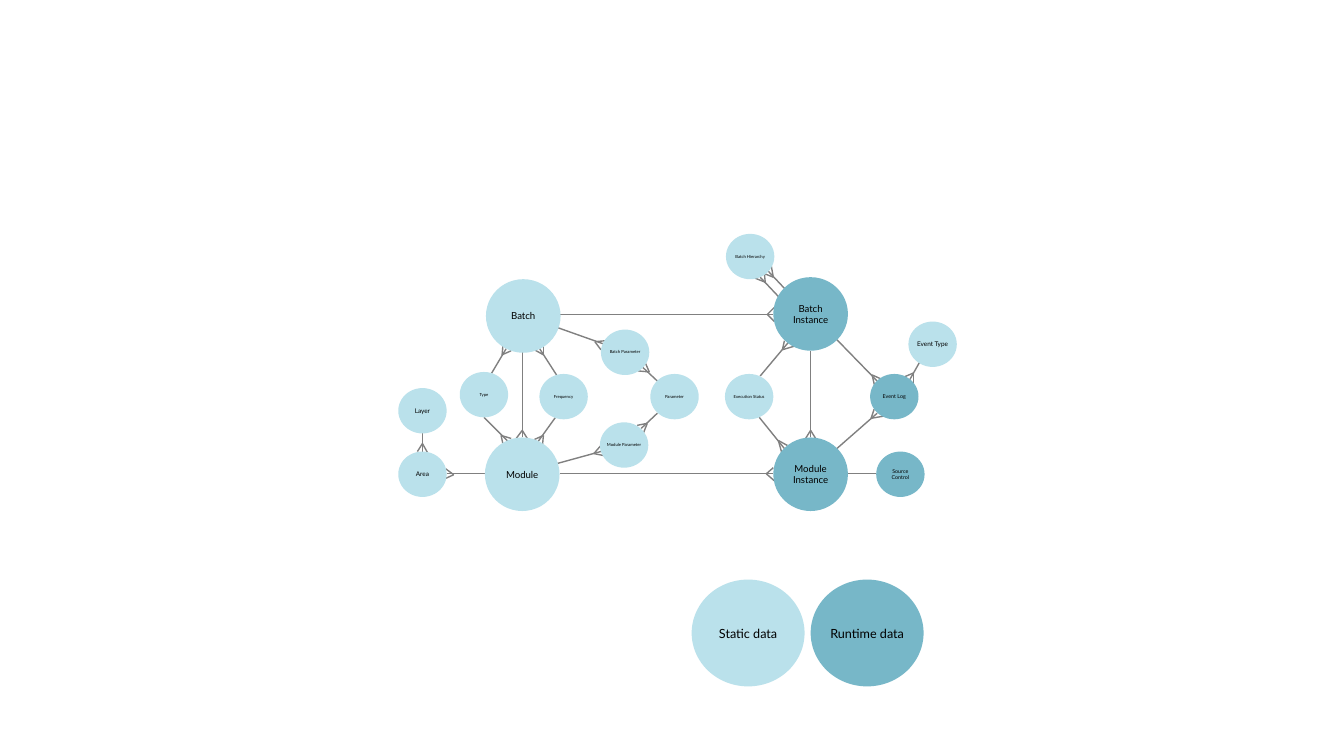
from pptx import Presentation
from pptx.dml.color import RGBColor
from pptx.enum.shapes import MSO_CONNECTOR, MSO_SHAPE
from pptx.enum.text import MSO_ANCHOR, PP_ALIGN
from pptx.oxml.ns import qn
from pptx.util import Inches, Pt
from lxml import etree

STATIC, RUNTIME = "BAE1EB", "77B7C8"
LARGE, SMALL, LEGEND = (0.74, 0.73), (0.48, 0.45), (1.12, 1.06)

# Relations between entities: x1, y1, x2, y2
relations = [
    (4.19, 4.3, 4.19, 4.48),   # Layer - Area
    (4.43, 4.7, 4.81, 4.7),    # Area - Module
    (4.8, 3.83, 5.02, 3.46),   # Type - Batch
    (4.8, 4.14, 5.04, 4.38),   # Type - Module
    (5.34, 3.44, 5.52, 3.72),  # Batch - Frequency
    (5.51, 4.14, 5.33, 4.39),  # Frequency - Module
    (5.18, 3.49, 5.18, 4.34),  # Batch - Module
    (5.53, 3.25, 5.98, 3.41),  # Batch - Batch Parameter
    (6.37, 3.64, 6.52, 3.78),  # Batch Parameter - Parameter
    (6.36, 4.25, 6.52, 4.1),   # Module Parameter - Parameter
    (6.03, 4.46, 5.52, 4.6),   # Module Parameter - Module
    (5.53, 3.12, 7.67, 3.12),  # Batch - Batch Instance
    (5.55, 4.7, 7.67, 4.7),    # Module - Module Instance
    (8.04, 3.48, 8.04, 4.34),  # Batch Instance - Module Instance
    (7.85, 3.36, 7.54, 3.73),  # Batch Instance - Execution Status
    (7.53, 4.14, 7.78, 4.45),  # Execution Status - Module Instance
    (8.3, 3.37, 8.7, 3.78),    # Batch Instance - Event Log
    (8.3, 4.45, 8.7, 4.1),     # Module Instance - Event Log
    (9.01, 3.79, 9.14, 3.56),  # Event Log - Event Type
    (7.93, 3.02, 7.61, 2.68),  # Batch Instance - Batch Hierarchy
    (7.86, 3.09, 7.54, 2.75),
    (8.41, 4.7, 8.69, 4.7),    # Module Instance - Source Control
]

# Crow's feet: tip x, y, then the two toes x, y
crows_feet = [
    (4.19, 4.4, 4.24, 4.49, 4.14, 4.48),   # Area
    (4.5, 4.71, 4.41, 4.75, 4.42, 4.65),
    (4.98, 3.52, 4.99, 3.41, 5.07, 3.48),  # Batch
    (5.39, 3.52, 5.3, 3.47, 5.39, 3.42),
    (4.97, 4.32, 5.07, 4.35, 4.99, 4.41),  # Module
    (5.18, 4.27, 5.23, 4.35, 5.12, 4.35),
    (5.39, 4.32, 5.38, 4.42, 5.3, 4.36),
    (5.9, 3.39, 6.01, 3.38, 5.96, 3.47),   # Batch Parameter
    (6.44, 3.69, 6.33, 3.68, 6.4, 3.6),
    (5.89, 4.5, 5.96, 4.42, 5.99, 4.52),   # Module Parameter
    (6.42, 4.2, 6.38, 4.3, 6.32, 4.22),
    (7.61, 3.12, 7.68, 3.05, 7.68, 3.19),  # Batch Instance
    (7.76, 3.47, 7.78, 3.38, 7.96, 3.41),
    (7.6, 4.7, 7.67, 4.64, 7.68, 4.77),    # Module Instance
    (7.72, 4.37, 7.81, 4.42, 7.77, 4.55),
    (8.04, 4.27, 8.09, 4.35, 7.99, 4.35),
    (8.64, 4.15, 8.67, 4.06, 8.87, 4.11),  # Event Log
    (8.65, 3.72, 8.74, 3.76, 8.7, 3.94),
    (9.06, 3.7, 9.06, 4.0, 8.92, 3.76),
    (7.59, 2.8, 7.49, 2.76, 7.58, 2.7),    # Batch Hierarchy
    (7.67, 2.75, 7.57, 2.71, 7.65, 2.64),
]

# Label, left, top, (width, height), fill, font size
circles = [
    ("Batch", 4.82, 2.77, LARGE, STATIC, 6.9),
    ("Module", 4.81, 4.34, LARGE, STATIC, 6.9),
    ("Batch\nInstance", 7.67, 2.75, LARGE, RUNTIME, 6.9),
    ("Module Instance", 7.67, 4.34, LARGE, RUNTIME, 6.9),
    ("Layer", 3.95, 3.85, SMALL, STATIC, 4.6),
    ("Area", 3.95, 4.48, SMALL, STATIC, 4.6),
    ("Type", 4.56, 3.69, SMALL, STATIC, 3),
    ("Frequency", 5.35, 3.71, SMALL, STATIC, 3),
    ("Batch Parameter", 5.96, 3.27, SMALL, STATIC, 3),
    ("Module Parameter", 5.95, 4.19, SMALL, STATIC, 3),
    ("Parameter", 6.45, 3.71, SMALL, STATIC, 3),
    ("Batch Hierarchy", 7.2, 2.32, SMALL, STATIC, 3),
    ("Execution Status", 7.19, 3.71, SMALL, STATIC, 3),
    ("Event Type", 9.01, 3.19, SMALL, STATIC, 4.6),
    ("Event Log", 8.63, 3.71, SMALL, RUNTIME, 3.8),
    ("Source Control", 8.69, 4.48, SMALL, RUNTIME, 3.8),
    ("Static data", 6.86, 5.75, LEGEND, STATIC, 9),
    ("Runtime data", 8.04, 5.75, LEGEND, RUNTIME, 9),
]


def rgb(color):
    return RGBColor.from_string(color)


def add_line(shapes, x1, y1, x2, y2):
    line = shapes.add_connector(MSO_CONNECTOR.STRAIGHT, Inches(x1), Inches(y1),
                                Inches(x2), Inches(y2))
    line.line.color.rgb = rgb("808080")
    line.line.width = Pt(1)
    etree.SubElement(line._element.spPr, qn("a:effectLst"))


prs = Presentation()
prs.slide_width, prs.slide_height = Inches(13.33), Inches(7.5)
s = prs.slides.add_slide(prs.slide_layouts[6])

for ends in relations:
    add_line(s.shapes, *ends)

for tip_x, tip_y, *toes in crows_feet:
    foot = s.shapes.add_group_shape()
    for toe_x, toe_y in (toes[:2], toes[2:]):
        add_line(foot.shapes, toe_x, toe_y, tip_x, tip_y)

for label, left, top, (width, height), fill, size in circles:
    sp = s.shapes.add_shape(MSO_SHAPE.OVAL, Inches(left), Inches(top),
                            Inches(width), Inches(height))
    sp.shadow.inherit = False
    sp.fill.solid()
    sp.fill.fore_color.rgb = rgb(fill)
    sp.line.fill.background()
    tf = sp.text_frame
    tf.word_wrap = True
    tf.vertical_anchor = MSO_ANCHOR.MIDDLE
    tf.margin_left = tf.margin_right = tf.margin_top = tf.margin_bottom = 0
    p = tf.paragraphs[0]
    p.text = label
    p.alignment = PP_ALIGN.CENTER
    p.font.name = "Lato"
    p.font.size = Pt(size)
    p.font.color.rgb = rgb("000000")

prs.save("out.pptx")
